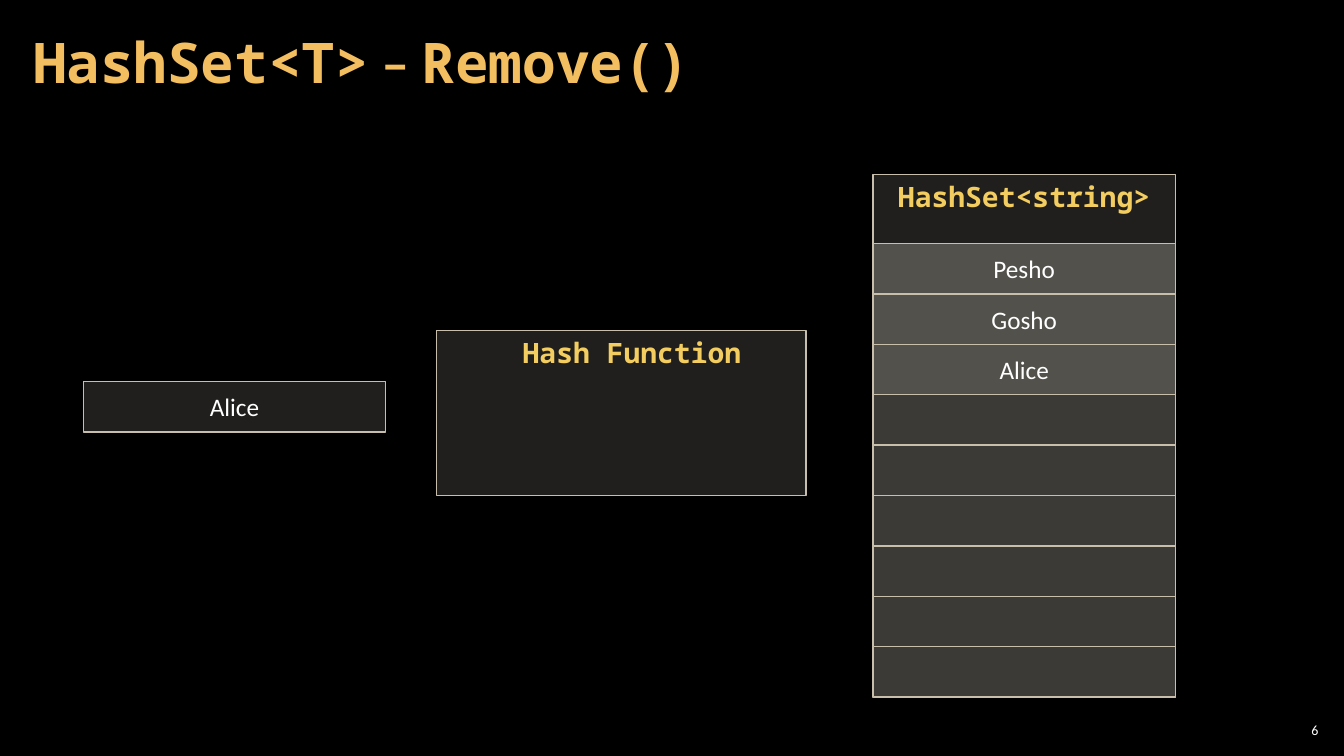
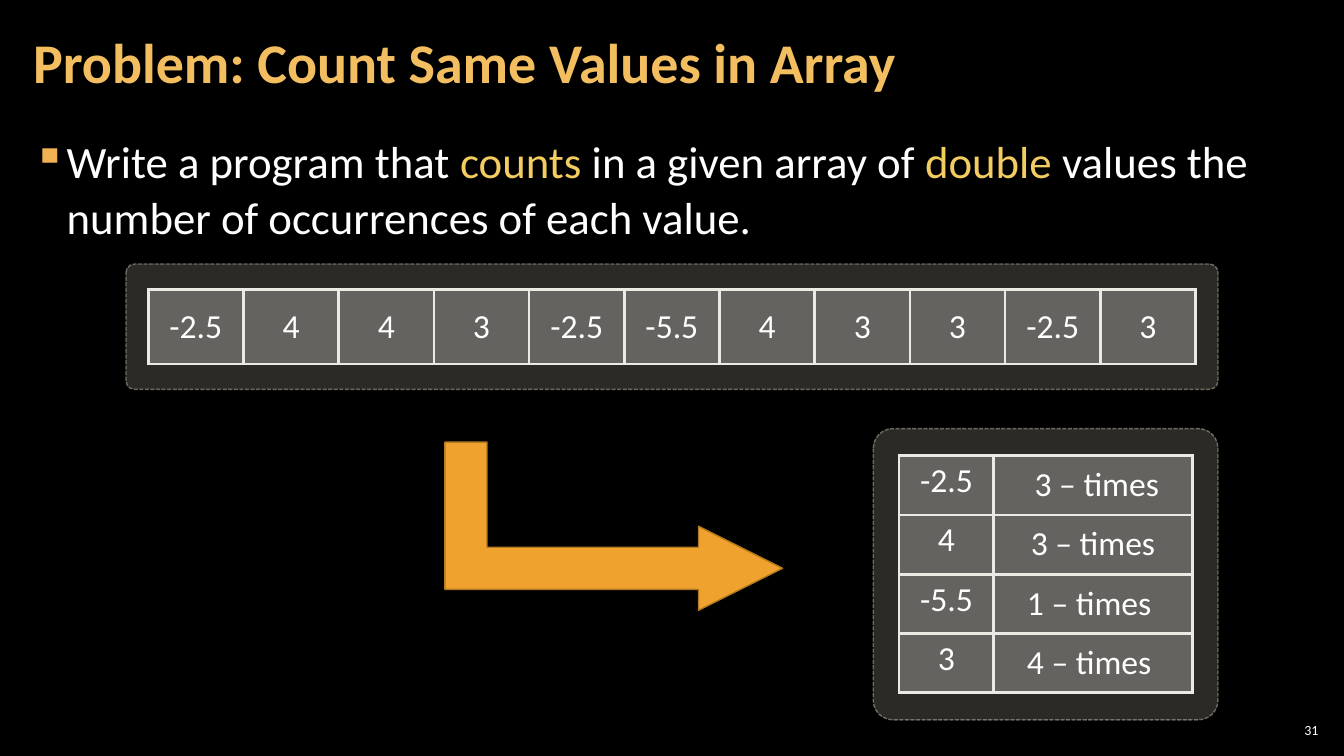
import dataclasses

import lxml.etree
import pptx
import pptx.dml.color
import pptx.enum.dml
import pptx.enum.shapes
import pptx.enum.text
import pptx.oxml.ns
import pptx.util

Pt = pptx.util.Pt
qn = pptx.oxml.ns.qn
Align = pptx.enum.text.PP_ALIGN
Anchor = pptx.enum.text.MSO_ANCHOR
Shape = pptx.enum.shapes.MSO_SHAPE
Dash = pptx.enum.dml.MSO_LINE


@dataclasses.dataclass(frozen=True)
class Theme:
    background: str = "000000"
    text: str = "FFFFFF"
    title: str = "F3BE60"
    accent: str = "F3CD60"
    bullet: str = "F2B254"
    panel: str = "D9D5C7"
    outline: str = "C7BFAC"
    grid: str = "ECEAE3"
    arrow: str = "F0A22E"
    arrow_outline: str = "B27822"
    sans: str = "Calibri"
    mono: str = "Noto Sans Mono"
    title_size: float = 40
    body_size: float = 32
    cell_size: float = 24
    label_size: float = 20
    item_size: float = 18
    number_size: float = 10


@dataclasses.dataclass(frozen=True)
class Box:
    left: float
    top: float
    width: float
    height: float

    def lengths(self):
        return [Pt(value) for value in dataclasses.astuple(self)]

    def inset(self, across, down):
        return Box(self.left + across, self.top + down,
                   self.width - 2 * across, self.height - 2 * down)


THEME = Theme()
TITLE_BOX = Box(15.1, 2.9, 753.8, 87.1)
BODY_BOX = Box(15.1, 90.7, 929.5, 438.5)
NUMBER_BOX = Box(910.8, 514.1, 33.8, 15.1)
TEXT_INSETS = (8.5, 2.83)
ITEM_INSETS = (14.17, 7.09)
LABEL_INSETS = (7.2, 3.6)


def rgb(code):
    return pptx.dml.color.RGBColor.from_string(code)


def add_child(parent, tag, **attributes):
    return lxml.etree.SubElement(parent, qn(tag), **attributes)


def paint(fill, color, opacity=100):
    fill.solid()
    fill.fore_color.rgb = rgb(color)
    if opacity < 100:
        color_node = fill._xPr.find(qn("a:solidFill"))[0]
        add_child(color_node, "a:alpha", val=str(opacity * 1000))


def write_text(frame, runs, size, color=THEME.text, font=THEME.sans, bold=False,
               align=Align.LEFT, anchor=Anchor.TOP, insets=LABEL_INSETS,
               line_spacing=None, gap=None, bullet=None, indent=0):
    frame.word_wrap = True
    frame.vertical_anchor = anchor
    frame.margin_left = frame.margin_right = Pt(insets[0])
    frame.margin_top = frame.margin_bottom = Pt(insets[1])
    para = frame.paragraphs[0]
    para.alignment = align
    if line_spacing:
        para.line_spacing = line_spacing
    if gap:
        para.space_before = para.space_after = Pt(gap)
    if bullet:
        properties = para._p.get_or_add_pPr()
        properties.set("marL", str(Pt(indent)))
        properties.set("indent", str(-Pt(indent)))
        bullet_color = add_child(properties, "a:buClr")
        add_child(bullet_color, "a:srgbClr", val=THEME.bullet)
        add_child(properties, "a:buChar", char=bullet)
    for text, changes in [(runs, {})] if isinstance(runs, str) else runs:
        span = para.add_run()
        span.text = text
        span.font.size = Pt(size)
        span.font.bold = bold
        span.font.name = changes.get("font", font)
        span.font.color.rgb = rgb(changes.get("color", color))


def add_text(page, box, runs, **text_format):
    label = page.shapes.add_textbox(*box.lengths())
    write_text(label.text_frame, runs, **text_format)


def add_box(page, box, preset=Shape.RECTANGLE, color=THEME.panel, opacity=15,
            outline=THEME.outline, outline_opacity=100):
    shape = page.shapes.add_shape(preset, *box.lengths())
    shape.shadow.inherit = False
    paint(shape.fill, color, opacity)
    shape.line.width = Pt(1)
    paint(shape.line.fill, outline, outline_opacity)
    return shape


def add_item(page, box, text):
    item = add_box(page, box)
    write_text(item.text_frame, text, size=THEME.item_size,
               align=Align.CENTER, insets=ITEM_INSETS)


def add_code_label(page, box, text):
    add_text(page, box, text, size=THEME.label_size, color=THEME.accent,
             font=THEME.mono, bold=True, align=Align.CENTER)


def add_hash_set(page, box, title, items, slot_count, header_height):
    add_box(page, box)
    slot_height = (box.height - header_height) / slot_count
    slots = [Box(box.left, box.top + header_height + index * slot_height,
                 box.width, slot_height) for index in range(slot_count)]
    for slot in slots:
        add_box(page, slot)
    for slot, item in zip(slots, items):
        add_item(page, slot, item)
    add_code_label(page, Box(box.left, box.top, box.width, header_height), title)


def add_hash_function(page, box, title):
    add_box(page, box)
    add_code_label(page, Box(box.left + 31.7, box.top, 216, 55.4), title)


def add_panel(page, box):
    panel = add_box(page, box, Shape.ROUNDED_RECTANGLE, opacity=20, outline_opacity=50)
    panel.adjustments[0] = 0.067
    panel.line.dash_style = Dash.SQUARE_DOT


def add_cell_borders(cell):
    properties = cell._tc.get_or_add_tcPr()
    for side in ("L", "R", "T", "B"):
        border = add_child(properties, "a:ln" + side, w=str(Pt(2.25)))
        border_fill = add_child(border, "a:solidFill")
        add_child(border_fill, "a:srgbClr", val=THEME.grid)


def add_grid(page, box, rows, column_shares, anchors):
    frame = page.shapes.add_table(len(rows), len(column_shares), *box.lengths())
    table = frame.table
    table.first_row = table.horz_banding = False
    for column, share in zip(table.columns, column_shares):
        column.width = Pt(box.width * share / sum(column_shares))
    for row, values in zip(table.rows, rows):
        row.height = Pt(box.height / len(rows))
        for cell, value, anchor in zip(row.cells, values, anchors):
            write_text(cell.text_frame, value, size=THEME.cell_size, align=Align.CENTER)
            cell.vertical_anchor = anchor
            cell.margin_left = cell.margin_right = Pt(LABEL_INSETS[0])
            cell.margin_top = cell.margin_bottom = Pt(LABEL_INSETS[1])
            add_cell_borders(cell)
            paint(cell.fill, THEME.grid, 30)


def add_array(page, box, values):
    add_panel(page, box)
    add_grid(page, box.inset(15.9, 18), [values], [1] * len(values),
             [Anchor.MIDDLE] * len(values))


def add_counts(page, box, rows):
    add_panel(page, box)
    add_grid(page, box.inset(18.4, 19.2), rows, [0.94, 1.97],
             [Anchor.TOP, Anchor.MIDDLE])


def add_bent_arrow(page, box):
    shift = (box.width - box.height) / 2
    upright = Box(box.left + shift, box.top - shift, box.height, box.width)
    arrow = add_box(page, upright, Shape.BENT_UP_ARROW, THEME.arrow, 100,
                    THEME.arrow_outline)
    arrow.rotation = 90
    for index, value in enumerate((0.25, 0.25, 0.5)):
        arrow.adjustments[index] = value


def add_page(deck, title, number):
    page = deck.slides.add_slide(deck.slide_layouts[6])
    paint(page.background.fill, THEME.background)
    add_text(page, TITLE_BOX, title, size=THEME.title_size, color=THEME.title,
             bold=True, anchor=Anchor.MIDDLE, insets=TEXT_INSETS, line_spacing=0.9)
    add_text(page, NUMBER_BOX, str(number), size=THEME.number_size,
             align=Align.RIGHT, anchor=Anchor.MIDDLE, insets=(2.83, 2.83))
    return page


def build_remove_page(deck):
    code = {"font": THEME.mono}
    page = add_page(deck, [("HashSet<T>", code), (" – ", {}), ("Remove()", code)], 6)
    add_item(page, Box(59.5, 272.6, 216, 36), "Alice")
    add_hash_function(page, Box(311.8, 236.2, 264, 117.8), "Hash Function")
    add_hash_set(page, Box(623.6, 124.6, 216, 373.4), "HashSet<string>",
                 ["Pesho", "Gosho", "Alice"], slot_count=9, header_height=49.4)


def build_count_page(deck):
    page = add_page(deck, "Problem: Count Same Values in Array", 31)
    marked = {"color": THEME.accent}
    task = [("Write a program that ", {}), ("counts", marked),
            (" in a given array of ", {}), ("double", marked),
            (" values the number of occurrences of each value.", {})]
    add_text(page, BODY_BOX, task, size=THEME.body_size, insets=TEXT_INSETS,
             line_spacing=1.05, gap=6, bullet="▪", indent=24)
    add_array(page, Box(90, 188.6, 780, 89.5),
              ["-2.5", "4", "4", "3", "-2.5", "-5.5", "4", "3", "3", "-2.5", "3"])
    add_bent_arrow(page, Box(317.8, 315.8, 241.2, 120.2))
    add_counts(page, Box(623.8, 306.2, 246.2, 208),
               [["-2.5", " 3 – times"], ["4", "3 – times"],
                ["-5.5", "1 – times "], ["3", "4 – times "]])


def main():
    deck = pptx.Presentation()
    deck.slide_width, deck.slide_height = Pt(960), Pt(540)
    build_remove_page(deck)
    build_count_page(deck)
    deck.save("out.pptx")


if __name__ == "__main__":
    main()
